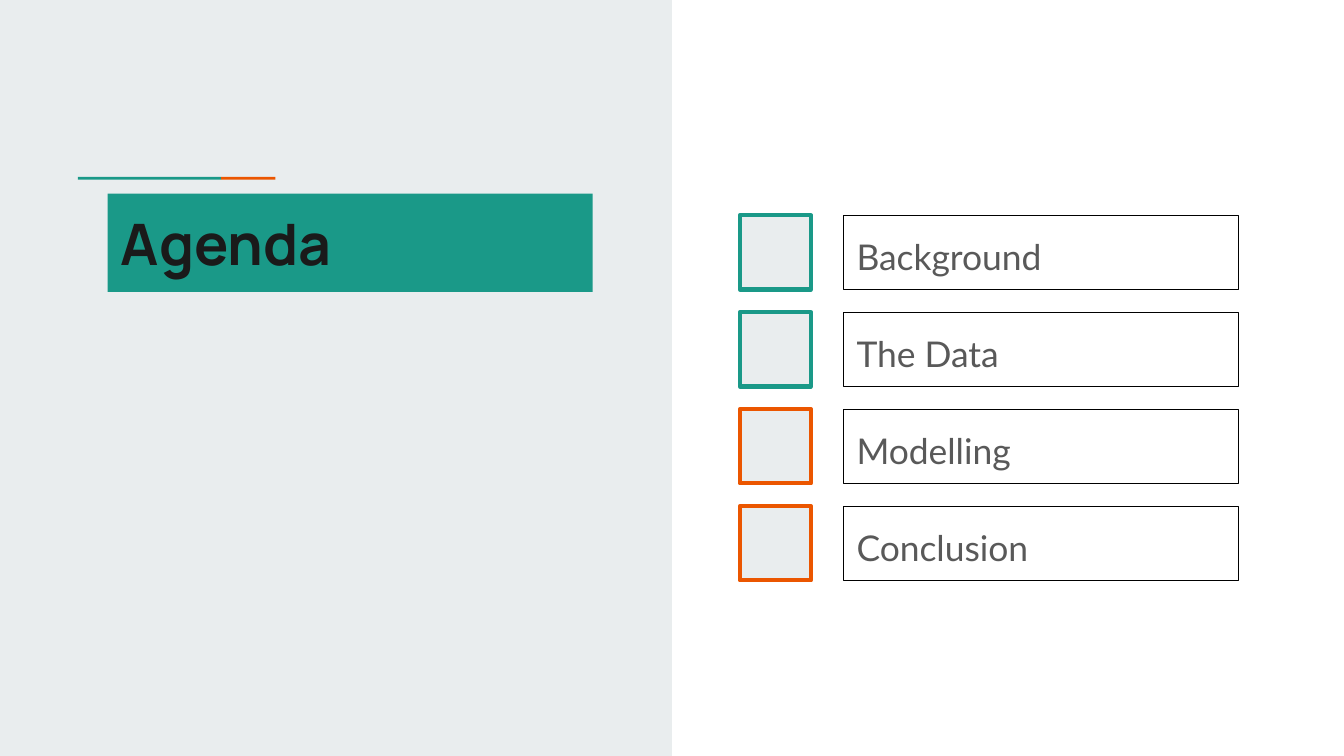
from pptx import Presentation
from pptx.dml.color import RGBColor
from pptx.enum.shapes import MSO_SHAPE
from pptx.enum.text import MSO_ANCHOR, PP_ALIGN
from pptx.util import Inches, Pt

RECTANGLE = MSO_SHAPE.RECTANGLE
LEFT = PP_ALIGN.LEFT
TOP, MIDDLE = MSO_ANCHOR.TOP, MSO_ANCHOR.MIDDLE

WIDTH = 10
HEIGHT = WIDTH * 9 / 16
TEAL, ORANGE, MIST = "1A9988", "EB5600", "E9EDEE"
INK, GREY, BLACK = "1A1A1A", "595959", "000000"
AGENDA = [("Background", TEAL), ("The Data", TEAL),
          ("Modelling", ORANGE), ("Conclusion", ORANGE)]


def color(value):
    return RGBColor.from_string(value)


def part(box, across, down, wide, high):
    """Return the box that covers the given percentages of another box."""
    left, top, width, height = box
    return (left + width * across / 100, top + height * down / 100,
            width * wide / 100, height * high / 100)


def add_box(page, box, fill=None, line=None, weight=0.75):
    shape = page.shapes.add_shape(RECTANGLE, *(Inches(length) for length in box))
    shape.shadow.inherit = False
    if fill:
        shape.fill.solid()
        shape.fill.fore_color.rgb = color(fill)
    else:
        shape.fill.background()
    if line:
        shape.line.color.rgb = color(line)
        shape.line.width = Pt(weight)
    else:
        shape.line.fill.background()
    return shape


def write(shape, text, font, size, ink, anchor, bold=False):
    frame = shape.text_frame
    frame.text = text
    frame.word_wrap = True
    frame.vertical_anchor = anchor
    frame.margin_left = frame.margin_right = Inches(0.1)
    frame.margin_top = frame.margin_bottom = Inches(0.1)
    para = frame.paragraphs[0]
    para.alignment = LEFT
    span = para.runs[0].font
    span.name, span.size, span.bold = font, Pt(size), bold
    span.color.rgb = color(ink)
    return para


def add_title_panel(page, box):
    add_box(page, box, fill=MIST)

    # Two-colour accent rule
    add_box(page, part(box, 11.6, 23.4, 21.3, 0.36), fill=TEAL)
    add_box(page, part(box, 32.9, 23.4, 8.1, 0.36), fill=ORANGE)

    # Title
    title = add_box(page, part(box, 16, 25.6, 72.2, 13), fill=TEAL)
    write(title, "Agenda", "Manrope", 30.6, INK, MIDDLE, bold=True)


def add_agenda_list(page, box, entries):
    first_row, pitch, row_height = 28.5, 12.83, 9.8
    for row, (label, accent) in enumerate(entries):
        down = first_row + row * pitch
        # Label
        item = add_box(page, part(box, 25.5, down, 58.8, row_height), line=BLACK)
        para = write(item, label, "Lato", 19, GREY, TOP)
        para.line_spacing = 1.15
        para.space_after = Pt(12)
        # Marker
        add_box(page, part(box, 10.1, down, 10.6, row_height),
                fill=MIST, line=accent, weight=2.25)


def main():
    deck = Presentation()
    deck.slide_width, deck.slide_height = Inches(WIDTH), Inches(HEIGHT)
    page = deck.slides.add_slide(deck.slide_layouts[6])
    half = WIDTH / 2
    add_title_panel(page, (0, 0, half, HEIGHT))
    add_agenda_list(page, (half, 0, half, HEIGHT), AGENDA)
    deck.save("out.pptx")


if __name__ == "__main__":
    main()
